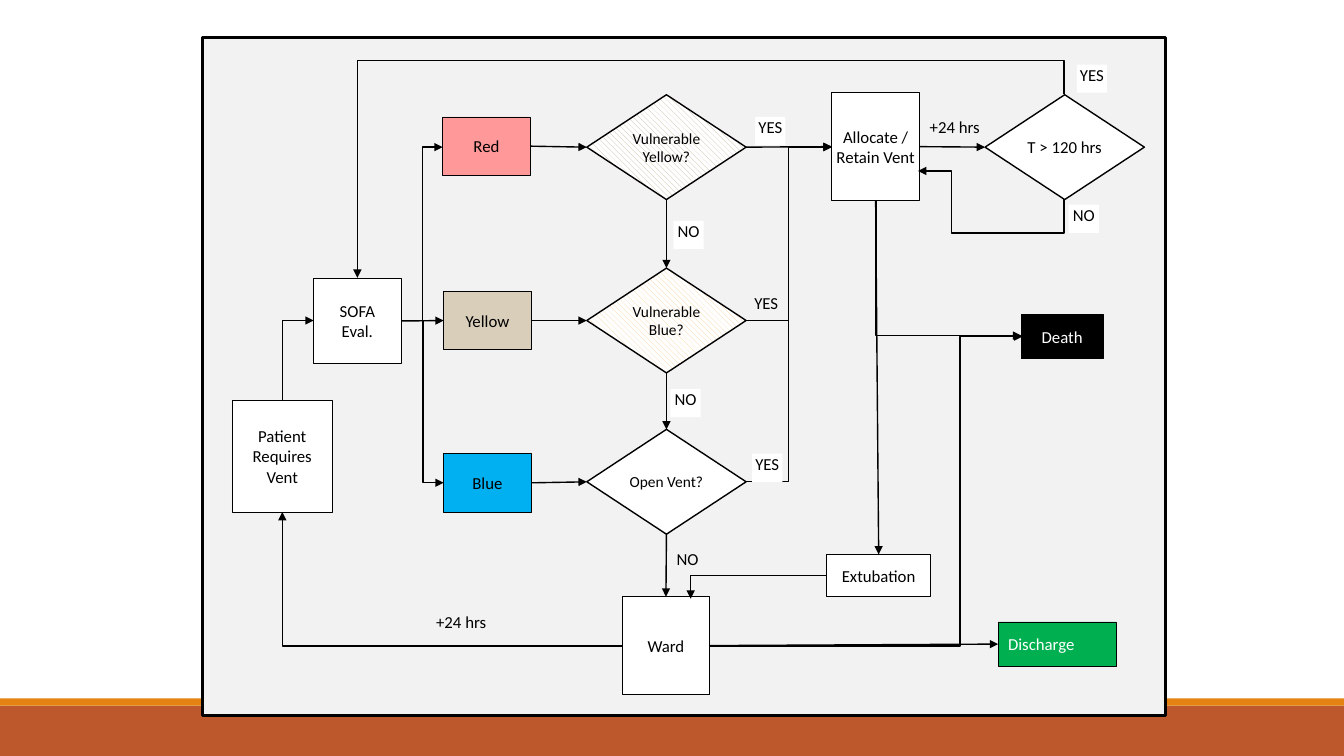
from dataclasses import dataclass

import lxml.etree
import pptx
import pptx.dml.color
import pptx.enum.dml
import pptx.enum.shapes
import pptx.enum.text
import pptx.oxml.ns
import pptx.util

PX = 9144
TOP, LEFT, BASE, RIGHT = range(4)
KIND = pptx.enum.shapes.MSO_SHAPE
LINK = pptx.enum.shapes.MSO_CONNECTOR
ALIGN = pptx.enum.text.PP_ALIGN
HEX = {
    "black": "000000", "white": "FFFFFF", "gray": "F2F2F2",
    "rust": "BD582C", "orange": "E48312", "red": "FF9999",
    "tan": "D8CEBA", "blue": "00B0F0", "green": "00B050",
    "sand": "C5B598", "peach": "F7CE9D",
}


@dataclass
class Box:
    text: str
    x: int
    y: int
    w: int
    h: int
    fill: str = "white"
    ink: str = "black"
    edge: float = 0.5
    inset: int = 10
    align: ALIGN = ALIGN.CENTER


@dataclass
class Choice:
    text: str
    x: int
    y: int
    hatch: str = ""
    size: int = 11


@dataclass
class Label:
    text: str
    x: int
    y: int
    w: int = 30
    fill: str = "white"


@dataclass
class Arrow:
    start: str
    out: int
    stop: str
    into: int


@dataclass
class Elbow:
    x1: int
    y1: int
    x2: int
    y2: int
    turn: int = 0
    bends: tuple[int, ...] = ()


BANDS = [
    Box("", 0, 700, 1333, 50, "rust", edge=0),
    Box("", 0, 693, 1333, 7, "orange", edge=0),
    Box("", 201, 37, 955, 673, "gray", edge=2),
]
BOXES = {
    "death": Box("Death", 1013, 312, 81, 44, "black", "white"),
    "patient": Box("Patient Requires Vent", 230, 397, 100, 111),
    "sofa": Box("SOFA\nEval.", 311, 276, 87, 85),
    "blue": Box("Blue", 440, 450, 87, 58, "blue"),
    "yellow": Box("Yellow", 440, 289, 87, 58, "tan"),
    "red": Box("Red", 439, 116, 87, 58, "red"),
    "extub": Box("Extubation", 820, 550, 103, 42),
    "leave": Box("Discharge", 990, 617, 117, 44, "green", "white", align=ALIGN.LEFT),
    "vent": Box("Allocate / Retain Vent", 825, 92, 87, 107, inset=0),
    "ward": Box("Ward", 617, 592, 87, 97, inset=0),
}
CHOICES = {
    "ask1": Choice("Vulnerable Yellow?", 582, 94, "sand"),
    "ask2": Choice("Vulnerable Blue?", 582, 266, "peach"),
    "ask3": Choice("Open Vent?", 582, 426),
    "time": Choice("T > 120 hrs", 977, 94, size=12),
}
ARROWS = [
    Arrow("red", RIGHT, "ask1", LEFT),
    Arrow("yellow", RIGHT, "ask2", LEFT),
    Arrow("blue", RIGHT, "ask3", LEFT),
    Arrow("ask1", BASE, "ask2", TOP),
    Arrow("ask2", BASE, "ask3", TOP),
    Arrow("ask3", BASE, "ward", TOP),
    Arrow("ask1", RIGHT, "vent", LEFT),
    Arrow("sofa", RIGHT, "yellow", LEFT),
    Arrow("vent", RIGHT, "time", LEFT),
    Arrow("vent", BASE, "extub", TOP),
    Arrow("ward", RIGHT, "leave", LEFT),
]
ELBOWS = [
    Elbow(739, 318, 825, 146, 0, (50000,)),
    Elbow(739, 478, 825, 146, 0, (50000,)),
    Elbow(399, 318, 439, 146, 0, (50000,)),
    Elbow(399, 318, 440, 479, 0, (50000,)),
    Elbow(280, 508, 617, 641, 180),
    Elbow(685, 594, 820, 571, 180, (100000,)),
    Elbow(1008, 194, 874, 338, 270),
    Elbow(796, 535, 614, -166, 270, (-18300,)),
    Elbow(997, 111, 969, 256, 90, (-120000, 77200)),
    Elbow(335, 373, 256, 342, 90),
    Elbow(704, 641, 1014, 334, 0, (80100,)),
]
LABELS = [
    Label("YES", 749, 116),
    Label("YES", 745, 290, fill=""),
    Label("YES", 746, 450),
    Label("NO", 668, 219),
    Label("NO", 665, 386),
    Label("NO", 667, 544, fill=""),
    Label("+24 hrs", 381, 607, 153, ""),
    Label("+24 hrs", 910, 116, 74, ""),
    Label("YES", 1068, 64),
    Label("NO", 1060, 203),
]


def tint(name: str) -> pptx.dml.color.RGBColor:
    return pptx.dml.color.RGBColor.from_string(HEX[name])


def scale(*sizes: int) -> list[int]:
    return [size * PX for size in sizes]


def write(shape, text: str, ink: str, size: int, inset: int, align: ALIGN, mid: bool) -> None:
    frame = shape.text_frame
    frame.text = text
    frame.word_wrap = True
    anchor = pptx.enum.text.MSO_ANCHOR
    frame.vertical_anchor = anchor.MIDDLE if mid else anchor.TOP
    frame.margin_left = frame.margin_right = inset * PX
    frame.margin_top = frame.margin_bottom = inset * PX // 2
    for para in frame.paragraphs:
        para.alignment = align
        for run in para.runs:
            run.font.name = "Calibri"
            run.font.size = pptx.util.Pt(size)
            run.font.color.rgb = tint(ink)


def block(slide, kind, box: Box, size: int = 12):
    shape = slide.shapes.add_shape(kind, *scale(box.x, box.y, box.w, box.h))
    shape.shadow.inherit = False
    shape.fill.solid()
    shape.fill.fore_color.rgb = tint(box.fill)
    if box.edge:
        shape.line.color.rgb = tint("black")
        shape.line.width = pptx.util.Pt(box.edge)
    else:
        shape.line.fill.background()
    if box.text:
        write(shape, box.text, box.ink, size, box.inset, box.align, True)
    return shape


def decide(slide, ask: Choice):
    box = Box(ask.text, ask.x, ask.y, 158, 104, edge=1, inset=0)
    shape = block(slide, KIND.DIAMOND, box, ask.size)
    if ask.hatch:
        shape.fill.patterned()
        shape.fill.pattern = pptx.enum.dml.MSO_PATTERN.WIDE_DOWNWARD_DIAGONAL
        shape.fill.fore_color.rgb = tint(ask.hatch)
        shape.fill.back_color.rgb = tint("white")
    return shape


def point(line) -> None:
    qn = pptx.oxml.ns.qn
    line.line.color.rgb = tint("black")
    line.line.width = pptx.util.Pt(1)
    props = line.element.spPr
    lxml.etree.SubElement(props.find(qn("a:ln")), qn("a:tailEnd"), type="triangle")
    lxml.etree.SubElement(props, qn("a:effectLst"))


def join(slide, arrow: Arrow, nodes: dict) -> None:
    line = slide.shapes.add_connector(LINK.STRAIGHT, 0, 0, 0, 0)
    line.begin_connect(nodes[arrow.start], arrow.out)
    line.end_connect(nodes[arrow.stop], arrow.into)
    point(line)


def bend(slide, elbow: Elbow) -> None:
    qn = pptx.oxml.ns.qn
    ends = scale(elbow.x1, elbow.y1, elbow.x2, elbow.y2)
    line = slide.shapes.add_connector(LINK.ELBOW, *ends)
    props = line.element.spPr
    if elbow.turn:
        props.find(qn("a:xfrm")).set("rot", str(elbow.turn * 60000))
    geom = props.find(qn("a:prstGeom"))
    geom.set("prst", f"bentConnector{len(elbow.bends) + 2}")
    for rank, value in enumerate(elbow.bends, 1):
        lxml.etree.SubElement(geom.find(qn("a:avLst")), qn("a:gd"),
                              name=f"adj{rank}", fmla=f"val {value}")
    point(line)


def tag(slide, label: Label) -> None:
    shape = slide.shapes.add_textbox(*scale(label.x, label.y, label.w, 28))
    if label.fill:
        shape.fill.solid()
        shape.fill.fore_color.rgb = tint(label.fill)
    write(shape, label.text, "black", 12, 0, ALIGN.CENTER, False)


def main() -> None:
    deck = pptx.Presentation()
    deck.slide_width, deck.slide_height = scale(1333, 750)
    slide = deck.slides.add_slide(deck.slide_layouts[6])
    for band in BANDS:
        block(slide, KIND.RECTANGLE, band)
    nodes = {key: block(slide, KIND.RECTANGLE, box) for key, box in BOXES.items()}
    nodes |= {key: decide(slide, ask) for key, ask in CHOICES.items()}
    for arrow in ARROWS:
        join(slide, arrow, nodes)
    for elbow in ELBOWS:
        bend(slide, elbow)
    for label in LABELS:
        tag(slide, label)
    deck.save("out.pptx")


if __name__ == "__main__":
    main()
